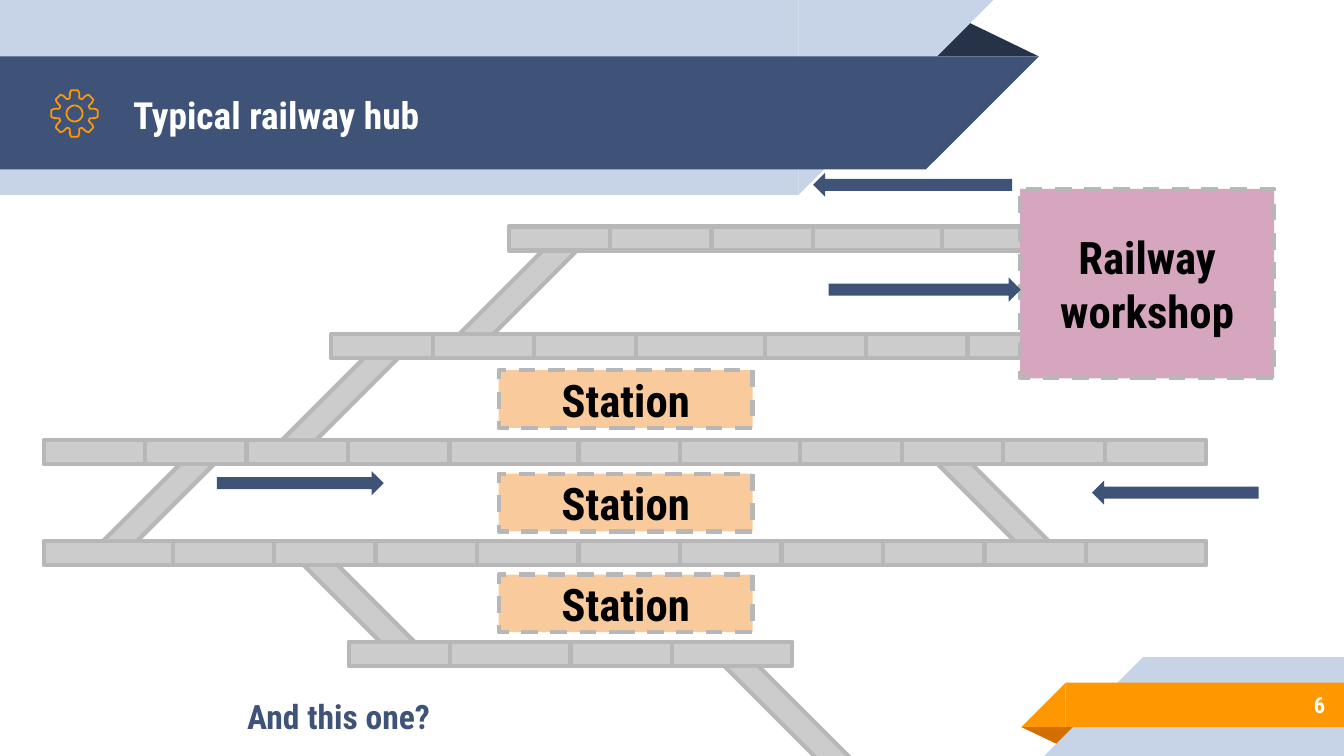
from dataclasses import dataclass
import math

from pptx import Presentation
from pptx import util as u
from pptx.dml.color import RGBColor
from pptx.enum import dml, shapes, text

SLIDE_WIDTH = u.Inches(10)
SLIDE_HEIGHT = u.Emu(SLIDE_WIDTH * 9 // 16)
CELL = SLIDE_WIDTH / 100
FONT = "Roboto Condensed"
NAVY, DARK_NAVY, PALE_BLUE = "3F5378", "263248", "C7D3E6"
ORANGE, DARK_ORANGE = "FF9800", "D26F00"
RAIL, RAIL_EDGE, PEACH, PINK = "CCCCCC", "B7B7B7", "F9CB9C", "D5A6BD"
SHORT, MEDIUM, LONG = 7.55, 8.95, 9.6
RAIL_DEPTH = 1.8
FORMS = shapes.MSO_SHAPE
ALIGN = text.PP_ALIGN


@dataclass
class Box:
    left: float
    top: float
    width: float
    height: float

    def inside(self, left, top, width, height):
        return Box(self.left + left, self.top + top, width, height)

    def emu(self):
        sides = (self.left, self.top, self.width, self.height)
        return [u.Emu(round(side * CELL)) for side in sides]


def colour(value):
    return RGBColor.from_string(value)


def block(slide, form, box, fill, edge=None, dashed=False, rotation=0,
          mirrored=False, apex=None):
    part = slide.shapes.add_shape(form, *box.emu())
    part.shadow.inherit = False
    part.fill.solid()
    part.fill.fore_color.rgb = colour(fill)
    if edge:
        part.line.color.rgb = colour(edge)
        part.line.width = u.Pt(2.25)
    else:
        part.line.fill.background()
    if dashed:
        part.line.dash_style = dml.MSO_LINE.DASH
    part.rotation = rotation
    if mirrored:
        part._element.spPr.xfrm.set("flipH", "1")
    if apex is not None:
        part.adjustments[0] = apex
    return part


def write(part, words, size, ink, align):
    frame = part.text_frame
    frame.word_wrap = True
    frame.auto_size = text.MSO_AUTO_SIZE.NONE
    frame.vertical_anchor = text.MSO_ANCHOR.MIDDLE
    frame.margin_left = frame.margin_right = u.Inches(0.1)
    frame.margin_top = frame.margin_bottom = u.Inches(0.1)
    paragraph = frame.paragraphs[0]
    paragraph.alignment = align
    run = paragraph.add_run()
    run.text = words
    run.font.name = FONT
    run.font.size = u.Pt(size)
    run.font.bold = True
    run.font.color.rgb = colour(ink)
    return paragraph


def fill_placeholder(slide, placeholder, box, words, size, ink, align):
    slide.shapes._spTree.append(placeholder._element)
    (placeholder.left, placeholder.top,
     placeholder.width, placeholder.height) = box.emu()
    return write(placeholder, words, size, ink, align)


def slanted_band(slide, box, fill, rotation=0):
    slope = box.height
    straight = box.width - slope
    slope_left, straight_left = (straight, 0) if rotation else (0, slope)
    for form, left, width in ((FORMS.RECTANGLE, straight_left, straight),
                              (FORMS.RIGHT_TRIANGLE, slope_left, slope)):
        block(slide, form, box.inside(left, 0, width, box.height), fill,
              rotation=rotation, mirrored=True)


def gear(slide, box):
    centre_x, centre_y = box.left + box.width / 2, box.top + box.height / 2
    profile = [(-0.3, 0.34), (-0.22, 0.45), (-0.14, 0.5),
               (0.14, 0.5), (0.22, 0.45), (0.3, 0.34)]

    def point(angle, share):
        radius = share * box.width
        return (round((centre_x + radius * math.sin(angle)) * CELL),
                round((centre_y - radius * math.cos(angle)) * CELL))

    rim = [point(tooth * math.pi / 4 + turn, share)
           for tooth in range(8) for turn, share in profile]
    hole = [point(step * math.pi / 16, 0.17) for step in range(32)]
    builder = slide.shapes.build_freeform(*rim[0])
    builder.add_line_segments(rim[1:])
    builder.move_to(*hole[0])
    builder.add_line_segments(hole[1:])
    outline = builder.convert_to_shape()
    outline.shadow.inherit = False
    outline.fill.background()
    outline.line.color.rgb = colour(ORANGE)
    outline.line.width = u.Pt(0.96)


def header(slide, box):
    block(slide, FORMS.ISOSCELES_TRIANGLE, box.inside(68.8, 1.4, 8.5, 2.8),
          DARK_NAVY, apex=0.32)
    slanted_band(slide, box.inside(0, 0, 73.9, box.height), PALE_BLUE, 180)
    slanted_band(slide, box.inside(0, 4.2, box.width, 8.4), NAVY, 180)
    gear(slide, box.inside(3.8, 6.7, 3.5, 3.5))
    fill_placeholder(slide, slide.shapes.title, box.inside(8.9, 4.3, 60.1, 8.4),
                     "Typical railway hub", 20, "FFFFFF", ALIGN.LEFT)


def footer(slide, box):
    block(slide, FORMS.ISOSCELES_TRIANGLE, box.inside(0, 5.2, 4.3, 1.4),
          DARK_ORANGE, rotation=180, apex=0.32)
    slanted_band(slide, box.inside(1.7, 0, 22.3, box.height), PALE_BLUE)
    slanted_band(slide, box.inside(0, 1.9, box.width, 3.3), ORANGE)
    number = slide.shapes.add_textbox(*box.inside(7.3, 1.8, 16.3, 3.5).emu())
    write(number, "6", 12, "FFFFFF", ALIGN.RIGHT)


def rail(slide, box, rotation=0):
    block(slide, FORMS.RECTANGLE, box, RAIL, RAIL_EDGE, rotation=rotation)


def track(slide, box, lengths):
    start = 0
    for length in lengths:
        rail(slide, box.inside(start, 0, length, box.height))
        start += length


def place_label(slide, box, words, fill):
    place = block(slide, FORMS.RECTANGLE, box, fill, RAIL_EDGE, dashed=True)
    write(place, words, 24, "000000", ALIGN.CENTER)


def railway_hub(slide, box):
    switches = [(48.8, 35.3, 13.2, 45), (18.1, 27.2, 10.8, 45),
                (30, 3.9, 10.8, 315), (16.8, 11.8, 10.8, 315),
                (65.4, 19.8, 10.8, 45), (3, 19.8, 10.8, 315)]
    for left, top, length, angle in switches:
        rail(slide, box.inside(left, top, length, RAIL_DEPTH), angle)

    tracks = [(34.6, 0, [SHORT] * 3 + [LONG] * 2),
              (21.4, 8, [SHORT] * 3 + [LONG] + [SHORT] * 3),
              (0, 15.9, [SHORT] * 4 + [LONG, SHORT, MEDIUM] + [SHORT] * 4),
              (0, 23.4, [LONG] + [SHORT] * 9 + [MEDIUM]),
              (22.7, 30.9, [SHORT, MEDIUM] * 2)]
    for left, top, lengths in tracks:
        track(slide, box.inside(left, top, sum(lengths), RAIL_DEPTH), lengths)

    for station_top in (10.7, 18.4, 25.9):
        place_label(slide, box.inside(33.85, station_top, 18.9, 4.3),
                    "Station", PEACH)
    place_label(slide, box.inside(72.65, -2.8, 18.9, 14.1),
                "Railway workshop", PINK)

    directions = [(12.9, 18.2, 12.4, 0), (57.25, -4, 14.8, 180),
                  (58.4, 3.8, 14.3, 0), (78, 18.9, 12.4, 180)]
    for left, top, length, angle in directions:
        block(slide, FORMS.RIGHT_ARROW, box.inside(left, top, length, 1.8),
              NAVY, rotation=angle)


def question(slide, box):
    paragraph = fill_placeholder(slide, slide.placeholders[1], box,
                                 "And this one?", 18, NAVY, ALIGN.CENTER)
    paragraph.space_before = u.Pt(0)
    paragraph.space_after = u.Pt(10)


def main():
    deck = Presentation()
    deck.slide_width, deck.slide_height = SLIDE_WIDTH, SLIDE_HEIGHT
    slide = deck.slides.add_slide(deck.slide_layouts[0])
    header(slide, Box(0, 0, 77.3, 14.5))
    footer(slide, Box(76, 48.9, 24, 7.35))
    question(slide, Box(-0.7, 50.2, 51.8, 6.2))
    railway_hub(slide, Box(3.25, 16.85, 86.5, 32.7))
    deck.save("out.pptx")


if __name__ == "__main__":
    main()
